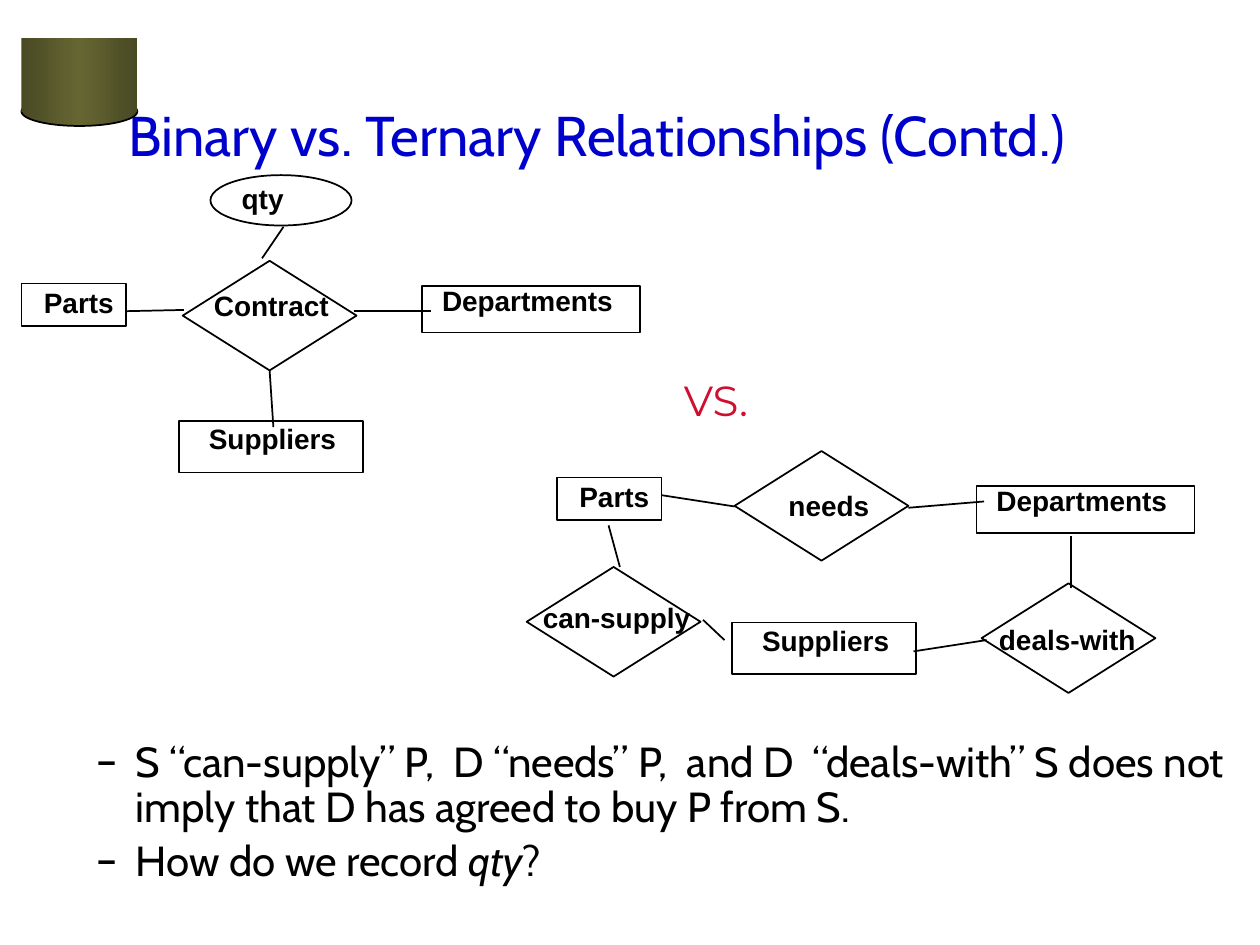
from copy import deepcopy
from dataclasses import dataclass

from lxml.etree import SubElement
from pptx import Presentation
from pptx.dml.color import RGBColor
from pptx.enum.shapes import MSO_CONNECTOR, MSO_SHAPE
from pptx.enum.text import MSO_ANCHOR, MSO_AUTO_SIZE, PP_ALIGN
from pptx.oxml.ns import qn
from pptx.slide import Slide
from pptx.util import Inches, Pt

COLORS = {"ink": "000000", "title": "0000CC", "versus": "CF0E30",
          "olive_dark": "494924", "olive": "666633"}
ENTITIES = {"Parts": ((8.3, 3.4), (0.8, -0.3)),
            "Suppliers": ((14.6, 4.1), (1.4, -0.4)),
            "Departments": ((17.3, 3.7), (0.6, -0.7))}
RELATIONSHIP_SIZE = (13.8, 8.7)
LABEL_WIDTHS = {"Parts": 7.8, "Suppliers": 12.3, "Departments": 15.8, "qty": 5.5,
                "Contract": 11.3, "needs": 8.6, "can-supply": 13.9, "deals-with": 13.1}


@dataclass
class ErDiagram:
    """Draws on one slide, with lengths in cells of a 100 by 75 grid."""
    slide: Slide
    cell: int = Inches(0.1)
    label_font: str = "Arial"
    text_font: str = "Cabin"

    def cells(self, *lengths):
        return [round(length * self.cell) for length in lengths]

    def format_runs(self, paragraph, font, size, color, bold=False):
        for run in paragraph.runs:
            run.font.name, run.font.size, run.font.bold = font, Pt(size), bold
            run.font.color.rgb = RGBColor.from_string(COLORS[color])

    def title(self, text, box):
        title = self.slide.shapes.title
        title.left, title.top, title.width, title.height = self.cells(*box)
        frame = title.text_frame
        frame.text = text
        frame.vertical_anchor = MSO_ANCHOR.MIDDLE
        frame.auto_size = MSO_AUTO_SIZE.NONE
        frame.paragraphs[0].alignment = PP_ALIGN.LEFT
        self.format_runs(frame.paragraphs[0], self.text_font, 32, "title")

    def outline(self, preset, box):
        shape = self.slide.shapes.add_shape(preset, *self.cells(*box))
        shape.shadow.inherit = False
        shape.fill.background()
        shape.line.color.rgb = RGBColor.from_string(COLORS["ink"])
        shape.line.width = Pt(1)
        return shape

    def cylinder_part(self, preset, box, outlined):
        part = self.outline(preset, box)
        part.fill.gradient()
        part.fill.gradient_angle = 0
        first = part._element.spPr.find(".//" + qn("a:gs"))
        first.addnext(deepcopy(first))
        stops = zip(part.fill.gradient_stops, (0, 0.5, 1), ("olive_dark", "olive", "olive_dark"))
        for stop, position, color in stops:
            stop.position = position
            stop.color.rgb = RGBColor.from_string(COLORS[color])
        if not outlined:
            part.line.fill.background()

    def label(self, text, left, top):
        box = self.cells(left, top, LABEL_WIDTHS[text], 3.6)
        frame = self.slide.shapes.add_textbox(*box).text_frame
        frame.text = text
        frame.word_wrap = False
        frame.auto_size = MSO_AUTO_SIZE.SHAPE_TO_FIT_TEXT
        self.format_runs(frame.paragraphs[0], self.label_font, 16, "ink", bold=True)

    def entity(self, name, left, top):
        size, (dx, dy) = ENTITIES[name]
        self.outline(MSO_SHAPE.RECTANGLE, (left, top, *size))
        self.label(name, left + dx, top + dy)

    def relationship(self, name, left, top, dx, dy):
        self.outline(MSO_SHAPE.DIAMOND, (left, top, *RELATIONSHIP_SIZE))
        self.label(name, left + dx, top + dy)

    def attribute(self, name, box, dx, dy):
        self.outline(MSO_SHAPE.OVAL, box)
        self.label(name, box[0] + dx, box[1] + dy)

    def link(self, *ends):
        line = self.slide.shapes.add_connector(MSO_CONNECTOR.STRAIGHT, *self.cells(*ends))
        line.line.color.rgb = RGBColor.from_string(COLORS["ink"])
        line.line.width = Pt(1)
        SubElement(line._element.spPr, qn("a:effectLst"))

    def versus(self, text, box):
        frame = self.slide.shapes.add_textbox(*self.cells(*box)).text_frame
        frame.text = text
        frame.word_wrap = True
        frame.paragraphs[0].space_before = Pt(12)
        self.format_runs(frame.paragraphs[0], "Montserrat", 24, "versus")

    def bullets(self, items, box):
        frame = self.slide.shapes.add_textbox(*self.cells(*box)).text_frame
        frame.word_wrap = True
        for index, parts in enumerate(items):
            paragraph = frame.add_paragraph() if index else frame.paragraphs[0]
            for position, text in enumerate(parts):
                run = paragraph.add_run()
                run.text = text
                run.font.italic = position % 2 == 1
            self.format_runs(paragraph, self.text_font, 24, "ink")
            paragraph.line_spacing = 0.9
            paragraph.space_before = Pt(4.8)
            properties = paragraph._p.get_or_add_pPr()
            properties.set("marL", str(Inches(0.81)))
            properties.set("indent", str(Inches(-0.31)))
            SubElement(properties, qn("a:buFont"), typeface=self.text_font)
            SubElement(properties, qn("a:buChar"), char="–")


def main():
    deck = Presentation()
    deck.slide_width, deck.slide_height = Inches(10), Inches(7.5)
    diagram = ErDiagram(deck.slides.add_slide(deck.slide_layouts[5]))

    diagram.cylinder_part(MSO_SHAPE.OVAL, (1.7, 7.7, 9.2, 2.3), outlined=True)
    diagram.cylinder_part(MSO_SHAPE.RECTANGLE, (1.7, 3, 9.2, 5.9), outlined=False)
    diagram.title("Binary vs. Ternary Relationships (Contd.)", (9.2, 4.6, 88.3, 12.1))

    diagram.attribute("qty", (16.7, 13.9, 11.2, 4), 1.5, 0)
    for entity in (("Parts", 1.7, 22.5), ("Departments", 33.5, 22.7), ("Suppliers", 14.2, 33.4),
                   ("Parts", 44.2, 37.9), ("Departments", 77.5, 38.6), ("Suppliers", 58.1, 49.4)):
        diagram.entity(*entity)
    for relationship in (("Contract", 14.5, 20.7, 1.5, 1.7), ("needs", 58.3, 35.8, 3.3, 2.5),
                         ("can-supply", 41.8, 45, 0.3, 2.2), ("deals-with", 77.9, 46.3, 0.4, 2.6)):
        diagram.relationship(*relationship)
    for ends in ((28.1, 24.7, 34.2, 24.7), (22.5, 18, 20.8, 20.5), (14.6, 24.6, 10, 24.7),
                 (21.4, 29.4, 21.7, 33.9), (48.3, 41.7, 49.2, 45), (55.8, 49.2, 57.5, 50.8),
                 (72.5, 51.7, 78.3, 50.8), (85, 46.7, 85, 42.5), (52.5, 39.3, 58.3, 40.2),
                 (72.1, 40.3, 78.1, 39.8)):
        diagram.link(*ends)

    diagram.versus("VS.", (53.3, 29.2, 10, 5.7))
    diagram.bullets((
        ("S “can-supply” P,  D “needs” P,  and D  “deals-with” S does not "
         "imply that D has agreed to buy P from S.",),
        ("How do we record ", "qty", "?"),
    ), (1.7, 58.3, 98.3, 10.8))
    deck.save("out.pptx")


if __name__ == "__main__":
    main()
